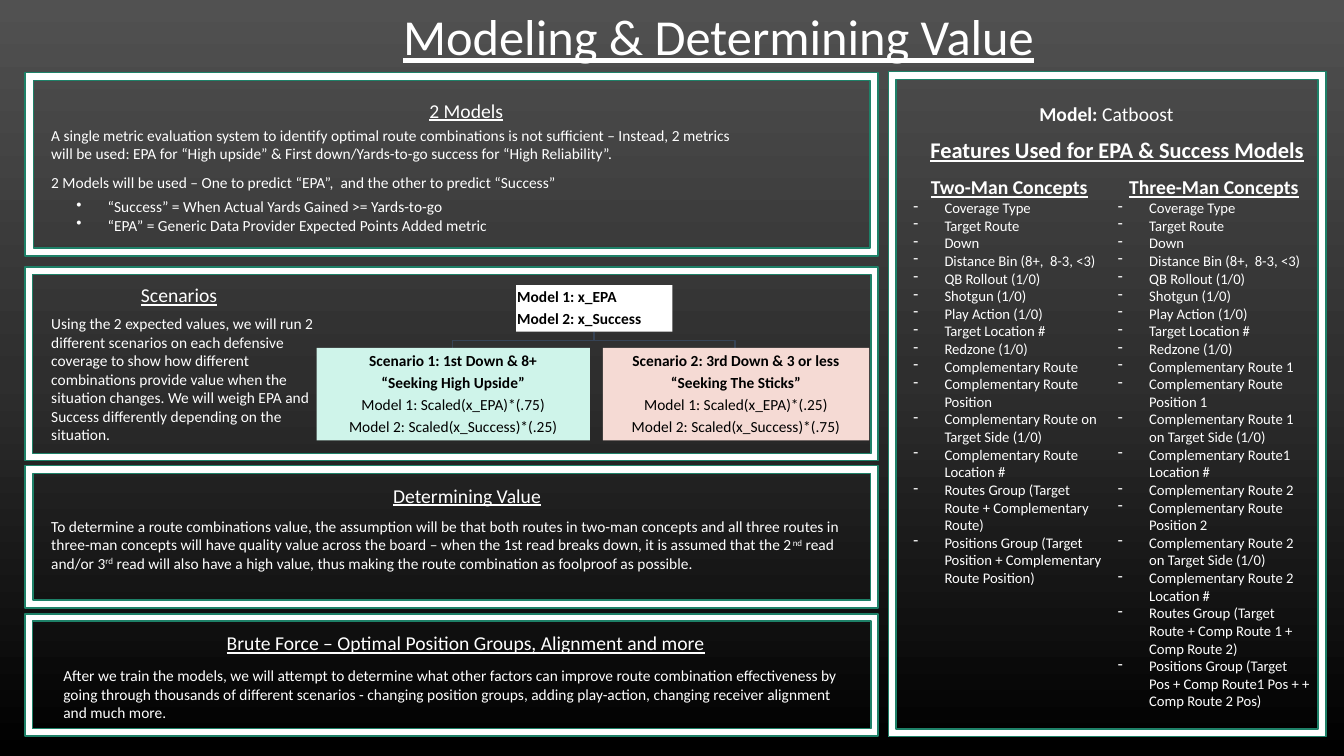
from copy import deepcopy
from dataclasses import dataclass
from typing import NamedTuple

from lxml.etree import SubElement
from pptx import Presentation
from pptx.dml.color import RGBColor
from pptx.enum.shapes import MSO_SHAPE as Shape
from pptx.enum.text import MSO_ANCHOR as Anchor, PP_ALIGN as Align
from pptx.oxml.ns import qn
from pptx.util import Pt

PX = 9144  # 100 px to the inch
FONT = "Calibri"
WHITE, BLACK, GREEN, SLATE = "FFFFFF", "000000", "1E8168", "364355"
INDENT = 31


class Run(NamedTuple):
    text: str
    bold: bool | None = None
    raised: bool = False


class Box(NamedTuple):
    left: int
    top: int
    width: int
    height: int


class Frame(NamedTuple):
    box: Box
    border: float


@dataclass
class Line:
    text: str
    size: float = 11
    bold: bool = False
    under: bool = False
    align: Align = Align.LEFT
    bullet: str = ""
    tail: tuple[Run, ...] = ()


class Note(NamedTuple):
    box: Box
    lines: list[Line]
    wrap: bool = True


class Card(NamedTuple):
    box: Box
    fill: str
    lines: list[Line]


def rgb(code: str) -> RGBColor:
    return RGBColor.from_string(code)


def scale(box: Box) -> list[int]:
    return [side * PX for side in box]


def head(box: Box, text: str, size: float = 14, bold: bool = False) -> Note:
    return Note(box, [Line(text, size, bold, True)], False)


def concept(left: int, height: int, title: str, items: list[str]) -> Note:
    lines = [Line(title, 14, True, True, Align.CENTER)]
    lines += [Line(item, 10.5, bullet="-") for item in items]
    return Note(Box(left, 169, 210, height), lines)


def models(align: Align, *texts: str) -> list[Line]:
    """First two lines are bold."""
    return [Line(text, bold=i < 2, align=align) for i, text in enumerate(texts)]


def write(frame, lines: list[Line], color: str) -> None:
    for i, line in enumerate(lines):
        par = frame.add_paragraph() if i else frame.paragraphs[0]
        if line.bullet:
            props = par._p.get_or_add_pPr()
            props.set("marL", str(INDENT * PX))
            props.set("indent", str(-INDENT * PX))
            SubElement(props, qn("a:buChar"), char=line.bullet)
        par.alignment = line.align
        font = par.font
        font.name, font.size = FONT, Pt(line.size)
        font.bold, font.underline = line.bold, line.under
        font.color.rgb = rgb(color)
        for part in (Run(line.text), *line.tail):
            run = par.add_run()
            run.text = part.text
            if part.bold is not None:
                run.font.bold = part.bold
            if part.raised:
                run._r.get_or_add_rPr().set("baseline", "30000")


def add_frame(shapes, item: Frame) -> None:
    shape = shapes.add_shape(Shape.FRAME, *scale(item.box))
    shape.shadow.inherit = False
    shape.adjustments[0] = item.border
    shape.fill.solid()
    shape.fill.fore_color.rgb = rgb(WHITE)
    shape.line.color.rgb = rgb(GREEN)
    shape.line.width = Pt(1)


def add_note(shapes, note: Note) -> None:
    frame = shapes.add_textbox(*scale(note.box)).text_frame
    frame.word_wrap = note.wrap
    write(frame, note.lines, WHITE)


def add_card(shapes, card: Card) -> None:
    shape = shapes.add_shape(Shape.RECTANGLE, *scale(card.box))
    shape.shadow.inherit = False
    shape.fill.solid()
    shape.fill.fore_color.rgb = rgb(card.fill)
    shape.line.fill.background()
    frame = shape.text_frame
    frame.word_wrap = True
    frame.vertical_anchor = Anchor.MIDDLE
    frame.margin_left = frame.margin_right = PX
    frame.margin_top = frame.margin_bottom = PX
    write(frame, card.lines, BLACK)
    for par in frame.paragraphs:
        par.line_spacing, par.space_after = 0.9, Pt(3.85)


def add_branch(shapes, end: int) -> None:
    """Elbow from the models card down to a scenario card."""
    path = shapes.build_freeform(589, 329, PX)
    path.add_line_segments([(589, 338), (end, 338), (end, 345)], close=False)
    shape = path.convert_to_shape()
    shape.shadow.inherit = False
    shape.fill.background()
    shape.line.color.rgb = rgb(SLATE)
    shape.line.width = Pt(1)


def paint(slide) -> None:
    fill = slide.background.fill
    fill.gradient()
    fill.gradient_angle = 270
    stops = slide.element.find(".//" + qn("a:gsLst"))
    stops.append(deepcopy(stops[-1]))
    shades = [(0, "515151"), (0.5, "2E2E2E"), (1, BLACK)]
    for stop, (place, code) in zip(fill.gradient_stops, shades):
        stop.position = place
        stop.color.rgb = rgb(code)


SHARED = ["Coverage Type", "Target Route", "Down", "Distance Bin (8+,  8-3, <3)", "QB Rollout (1/0)",
          "Shotgun (1/0)", "Play Action (1/0)", "Target Location #", "Redzone (1/0)"]
TWO = ["Complementary Route", "Complementary Route Position",
       "Complementary Route on Target Side (1/0)", "Complementary Route Location #",
       "Routes Group (Target Route + Complementary Route)",
       "Positions Group (Target Position + Complementary Route Position)"]
THREE = ["Complementary Route 1", "Complementary Route Position 1",
         "Complementary Route 1 on Target Side (1/0)", "Complementary Route1 Location #",
         "Complementary Route 2", "Complementary Route Position 2",
         "Complementary Route 2 on Target Side (1/0)", "Complementary Route 2 Location #",
         "Routes Group (Target Route + Comp Route 1 + Comp Route 2)",
         "Positions Group (Target Pos + Comp Route1 Pos + + Comp Route 2 Pos)"]

FRAMES = [Frame(Box(25, 72, 846, 182), 0.044), Frame(Box(25, 265, 846, 192), 0.037),
          Frame(Box(25, 462, 846, 141), 0.054), Frame(Box(25, 609, 846, 121), 0.058),
          Frame(Box(881, 71, 434, 660), 0.018)]

NOTES = [
    head(Box(390, 0, 646, 71), "Modeling & Determining Value", 36),
    head(Box(416, 93, 97, 34), "2 Models"),
    Note(Box(41, 120, 697, 47), [Line("A single metric evaluation system to identify optimal route combinations is not sufficient – Instead, 2 metrics will be used: EPA for “High upside” & First down/Yards-to-go success for “High Reliability”.")]),
    Note(Box(41, 167, 697, 29), [Line("2 Models will be used – One to predict “EPA”,  and the other to predict “Success”")]),
    Note(Box(66, 191, 600, 47), [Line("“Success” = When Actual Yards Gained >= Yards-to-go", bullet="•"),
                                 Line("“EPA” = Generic Data Provider Expected Points Added metric", bullet="•")]),
    head(Box(130, 276, 97, 34), "Scenarios"),
    Note(Box(41, 307, 288, 140), [Line("Using the 2 expected values, we will run 2 different scenarios on each defensive coverage to show how different combinations provide value when the situation changes. We will weigh EPA and Success differently depending on the situation.")]),
    head(Box(380, 475, 168, 34), "Determining Value"),
    Note(Box(41, 508, 812, 66), [Line(
        "To determine a route combinations value, the assumption will be that both routes in two-man concepts and all three routes in three-man concepts will have quality value across the board – when the 1st read breaks down, it is assumed that the 2",
        tail=(Run("nd", raised=True), Run(" read and/or 3"), Run("rd", raised=True),
              Run(" read will also have a high value, thus making the route combination as foolproof as possible.")))]),
    head(Box(215, 621, 498, 34), "Brute Force – Optimal Position Groups, Alignment and more"),
    Note(Box(53, 656, 800, 66), [Line("After we train the models, we will attempt to determine what other factors can improve route combination effectiveness by going through thousands of different scenarios - changing position groups, adding play-action, changing receiver alignment and much more.")]),
    Note(Box(1021, 96, 163, 34), [Line("Model: ", 14, True, tail=(Run("Catboost", False),))]),
    head(Box(913, 130, 391, 37), "Features Used for EPA & Success Models", 16, True),
    concept(896, 539, "Two-Man Concepts", SHARED + TWO),
    concept(1099, 662, "Three-Man Concepts", SHARED + THREE),
]

CARDS = [
    Card(Box(512, 283, 155, 46), WHITE, models(Align.LEFT, "Model 1: x_EPA", "Model 2: x_Success")),
    Card(Box(314, 345, 271, 92), "CFF4EA", models(
        Align.CENTER, "Scenario 1: 1st Down & 8+", "“Seeking High Upside”",
        "Model 1: Scaled(x_EPA)*(.75)", "Model 2: Scaled(x_Success)*(.25)")),
    Card(Box(598, 345, 264, 92), "F5DAD4", models(
        Align.CENTER, "Scenario 2: 3rd Down & 3 or less", "“Seeking The Sticks”",
        "Model 1: Scaled(x_EPA)*(.25)", "Model 2: Scaled(x_Success)*(.75)")),
]


def main() -> None:
    deck = Presentation()
    deck.slide_width, deck.slide_height = 1333 * PX, 750 * PX
    slide = deck.slides.add_slide(deck.slide_layouts[6])
    paint(slide)
    for frame in FRAMES:
        add_frame(slide.shapes, frame)
    for end in (729, 449):
        add_branch(slide.shapes, end)
    for card in CARDS:
        add_card(slide.shapes, card)
    for note in NOTES:
        add_note(slide.shapes, note)
    deck.save("out.pptx")


if __name__ == "__main__":
    main()
